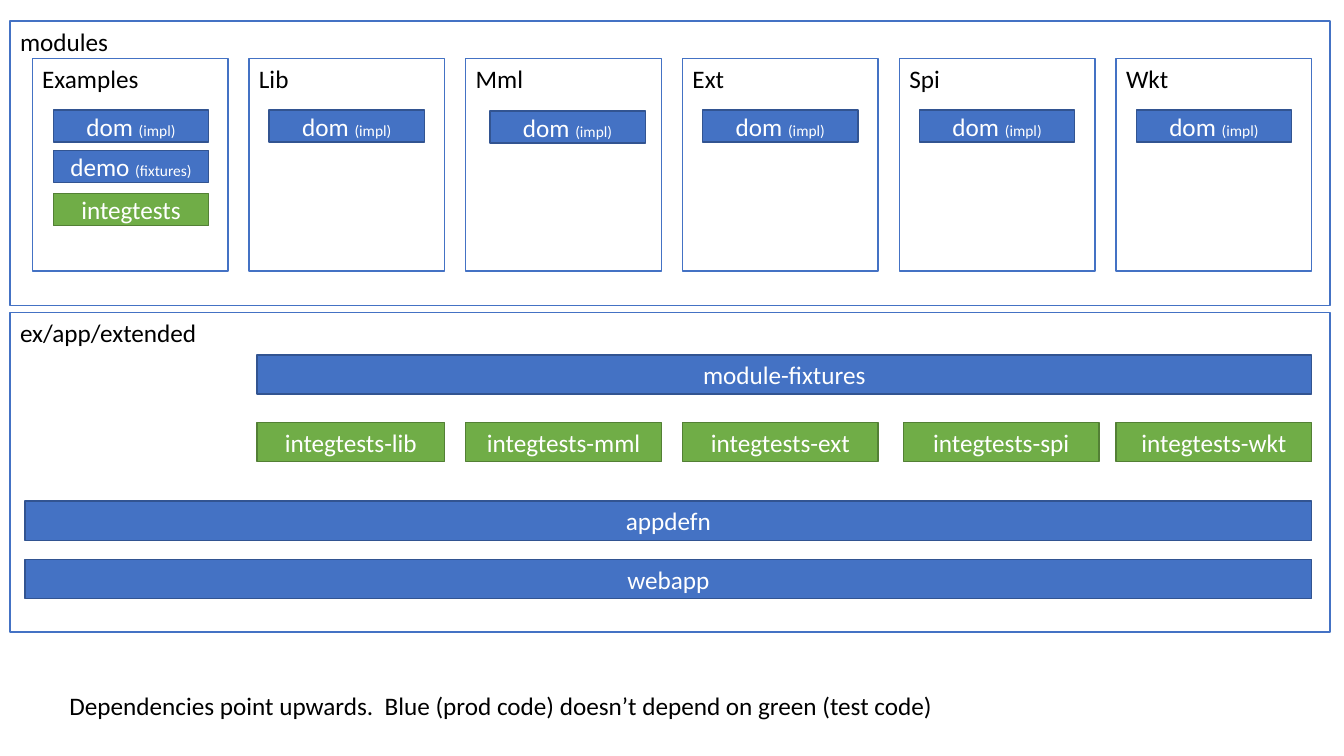
from pptx import Presentation
from pptx.dml.color import RGBColor
from pptx.enum import shapes, text
from pptx.util import Inches, Pt

FONT = "Calibri"
FRAME = ("FFFFFF", "4472C4")
PROD = ("4472C4", "325491")
TEST = ("70AD47", "538035")

# Module: name, inset of its parts, parts as (name, note, colours, top)
DOM = ("dom ", "(impl)", PROD, 1.09)
MODULES = [
    ("Examples", 0.21, [DOM, ("demo ", "(fixtures)", PROD, 1.49),
                        ("integtests", "", TEST, 1.92)]),
    ("Lib", 0.2, [DOM]),
    ("Mml", 0.24, [("dom ", "(impl)", PROD, 1.1)]),
    ("Ext", 0.2, [DOM]),
    ("Spi", 0.2, [DOM]),
    ("Wkt", 0.2, [DOM]),
]
GROUPS = [("modules", 0.21, 2.82), ("ex/app/extended", 3.1, 3.17)]
# Layer: name, left, top
LAYERS = [("module-fixtures", 2.55, 3.52), ("appdefn", 0.25, 4.97), ("webapp", 0.25, 5.55)]
# Integration tests: name, column, shift of the left edge, width
INTEGTESTS = [
    ("integtests-lib", 1, 0.08, 1.86),
    ("integtests-mml", 2, 0, 1.94),
    ("integtests-ext", 3, 0, 1.94),
    ("integtests-spi", 4, 0.04, 1.94),
    ("integtests-wkt", 5, 0, 1.94),
]
RULE = "Dependencies point upwards.  Blue (prod code) doesn\u2019t depend on green (test code)"

COLUMN_LEFT, COLUMN_STEP, COLUMN_WIDTH = 0.32, 2.15, 1.94
RIGHT_EDGE, BAR_HEIGHT = 13.01, 0.39

deck = Presentation()
deck.slide_width, deck.slide_height = Inches(13.33), Inches(7.5)
slide = deck.slides.add_slide(deck.slide_layouts[6])


def rgb(value):
    """Turn a hex string into a colour."""
    return RGBColor.from_string(value)


def column_left(column):
    """Return the left edge of a module column."""
    return COLUMN_LEFT + column * COLUMN_STEP


def write(paragraph, words, colour, size=18):
    """Add one run of formatted text."""
    run = paragraph.add_run()
    run.text = words
    run.font.name, run.font.size = FONT, Pt(size)
    run.font.color.rgb = rgb(colour)


def box(bounds, colours):
    """Draw a rectangle with fill and outline, and return it."""
    rectangle = slide.shapes.add_shape(
        shapes.MSO_SHAPE.RECTANGLE, *(Inches(length) for length in bounds))
    rectangle.shadow.inherit = False
    fill, line = colours
    rectangle.fill.solid()
    rectangle.fill.fore_color.rgb = rgb(fill)
    rectangle.line.color.rgb = rgb(line)
    rectangle.line.width = Pt(1)
    return rectangle


def frame(name, *bounds):
    """Draw a white container with its name at the top left."""
    content = box(bounds, FRAME).text_frame
    content.vertical_anchor = text.MSO_ANCHOR.TOP
    content.paragraphs[0].alignment = text.PP_ALIGN.LEFT
    write(content.paragraphs[0], name, "000000")


def bar(name, note, colours, *bounds):
    """Draw a coloured bar with a centred name and an optional small note."""
    content = box(bounds, colours).text_frame
    content.vertical_anchor = text.MSO_ANCHOR.MIDDLE
    content.paragraphs[0].alignment = text.PP_ALIGN.CENTER
    write(content.paragraphs[0], name, "FFFFFF")
    if note:
        write(content.paragraphs[0], note, "FFFFFF", 11)


for name, top, height in GROUPS:
    frame(name, 0.1, top, 13.09, height)

for column, (module, inset, parts) in enumerate(MODULES):
    left = column_left(column)
    frame(module, left, 0.58, COLUMN_WIDTH, 2.11)
    for name, note, colours, top in parts:
        bar(name, note, colours, left + inset, top, 1.54, 0.32)

for name, left, top in LAYERS:
    bar(name, "", PROD, left, top, RIGHT_EDGE - left, BAR_HEIGHT)

for name, column, shift, width in INTEGTESTS:
    bar(name, "", TEST, column_left(column) + shift, 4.19, width, BAR_HEIGHT)

rule = slide.shapes.add_textbox(Inches(0.59), Inches(6.8), Inches(9.98), Inches(0.4)).text_frame
rule.word_wrap = True
rule.auto_size = text.MSO_AUTO_SIZE.SHAPE_TO_FIT_TEXT
write(rule.paragraphs[0], RULE, "000000")

deck.save("out.pptx")
